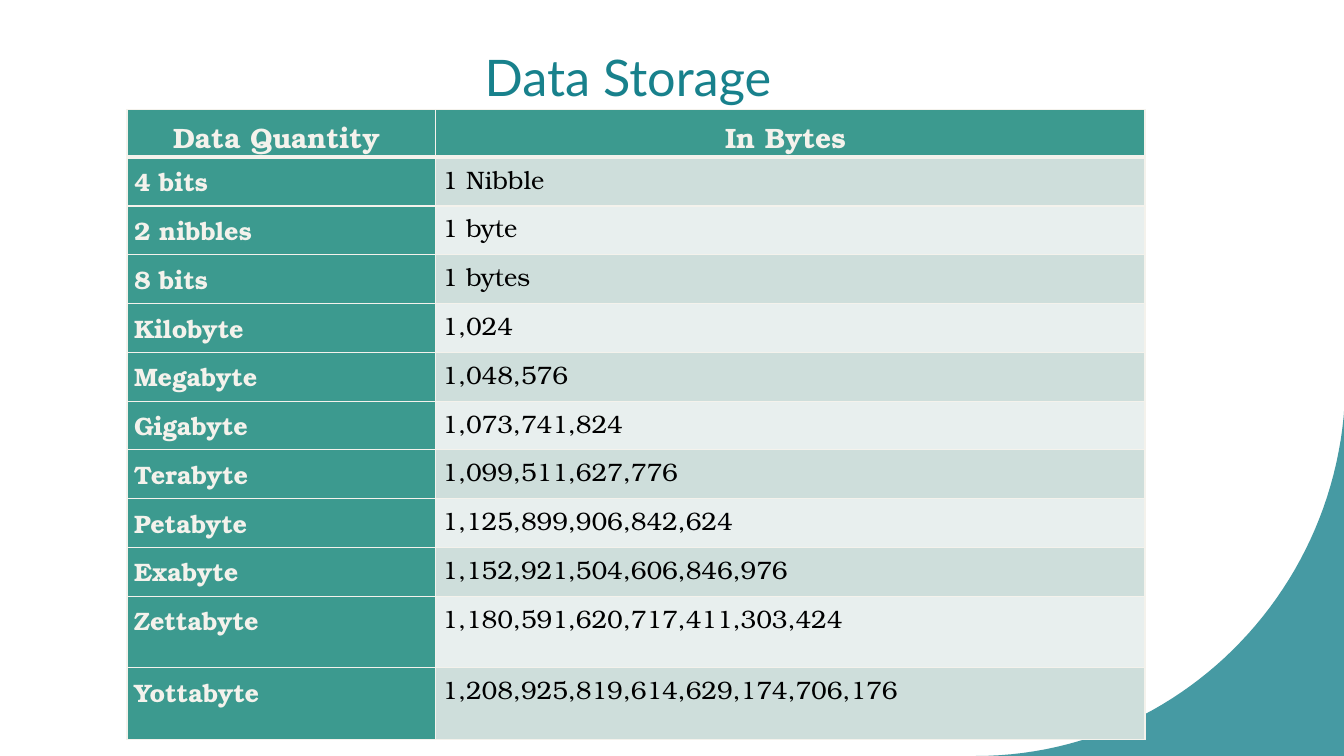
from dataclasses import dataclass

import pptx
import pptx.dml.color
import pptx.enum.text
import pptx.oxml
import pptx.oxml.ns
import pptx.presentation
import pptx.slide
import pptx.table
import pptx.util
from lxml import etree

RGBColor = pptx.dml.color.RGBColor
PP_ALIGN = pptx.enum.text.PP_ALIGN

TEAL = RGBColor(0x18, 0x81, 0x8C)
GREEN = RGBColor(0x3C, 0x9A, 0x8F)
CREAM = RGBColor(0xF4, 0xF2, 0xEC)
BLACK = RGBColor(0x00, 0x00, 0x00)
BAND_DARK = RGBColor(0xCE, 0xDE, 0xDB)
BAND_LIGHT = RGBColor(0xE8, 0xEF, 0xEE)

TITLE_FONT = "Lato"
TABLE_FONT = "TeX Gyre Bonum"

GRID_STEP = pptx.util.Inches(0.1)
SLIDE_COLUMNS = 133.33
SLIDE_ROWS = 75
COLUMN_SPANS = (30.6, 70.4)
HEADER_ROWS = 4.7
UNIT_ROWS = 4.84
TALL_ROWS = 7.1
CURVE_STEPS = 48


@dataclass(frozen=True)
class Quantity:
    name: str
    size: str
    rows: float = UNIT_ROWS


@dataclass(frozen=True)
class CellStyle:
    fill: RGBColor
    color: RGBColor
    size: int = 18
    bold: bool = True
    alignment: PP_ALIGN = PP_ALIGN.LEFT


HEADINGS = Quantity("Data Quantity ", "In Bytes ", HEADER_ROWS)
QUANTITIES = (
    Quantity("4 bits", "1 Nibble"),
    Quantity("2 nibbles", "1 byte"),
    Quantity("8 bits", "1 bytes"),
    Quantity("Kilobyte", "1,024"),
    Quantity("Megabyte", "1,048,576"),
    Quantity("Gigabyte", "1,073,741,824"),
    Quantity("Terabyte", "1,099,511,627,776"),
    Quantity("Petabyte", "1,125,899,906,842,624"),
    Quantity("Exabyte", "1,152,921,504,606,846,976"),
    Quantity("Zettabyte", "1,180,591,620,717,411,303,424", TALL_ROWS),
    Quantity("Yottabyte", "1,208,925,819,614,629,174,706,176", TALL_ROWS),
)

HEADING_STYLE = CellStyle(GREEN, CREAM, size=20, alignment=PP_ALIGN.CENTER)
NAME_STYLE = CellStyle(GREEN, CREAM)
SIZE_STYLES = (
    CellStyle(BAND_DARK, BLACK, bold=False),
    CellStyle(BAND_LIGHT, BLACK, bold=False),
)


def grid(units: float) -> pptx.util.Emu:
    return pptx.util.Emu(round(units * GRID_STEP))


def bezier(start: float, first: float, second: float, end: float, t: float) -> float:
    u = 1 - t
    return u**3 * start + 3 * u**2 * t * first + 3 * u * t**2 * second + t**3 * end


def draw_corner(slide: pptx.slide.Slide) -> None:
    curve = [
        (
            grid(bezier(96.8, 115.8, 131.5, 133.3, step / CURVE_STEPS)),
            grid(bezier(75, 75, 60.2, 41.3, step / CURVE_STEPS)),
        )
        for step in range(CURVE_STEPS + 1)
    ]
    edge = [(grid(SLIDE_COLUMNS), grid(40.8)), (grid(SLIDE_COLUMNS), grid(SLIDE_ROWS))]
    outline = slide.shapes.build_freeform(*curve[0])
    outline.add_line_segments(curve[1:] + edge, close=True)
    corner = outline.convert_to_shape()
    corner.shadow.inherit = False
    corner.line.fill.background()
    corner.fill.solid()
    corner.fill.fore_color.rgb = TEAL
    tint = corner.fill._xPr.find(".//" + pptx.oxml.ns.qn("a:srgbClr"))
    etree.SubElement(tint, pptx.oxml.ns.qn("a:alpha"), val="80000")


def draw_title(slide: pptx.slide.Slide) -> None:
    title = slide.shapes.title
    title.left, title.top = grid(15.8), grid(3.9)
    title.width, title.height = grid(93), grid(8.2)
    title.text_frame.text = "Data Storage"
    title.text_frame.vertical_anchor = pptx.enum.text.MSO_ANCHOR.MIDDLE
    heading = title.text_frame.paragraphs[0]
    heading.alignment = PP_ALIGN.CENTER
    heading.line_spacing = 0.9
    heading.font.name = TITLE_FONT
    heading.font.size = pptx.util.Pt(36)
    heading.font.color.rgb = TEAL


def draw_border(cell: pptx.table._Cell, side: str, points: int) -> None:
    properties = cell._tc.get_or_add_tcPr()
    border = etree.SubElement(
        properties, pptx.oxml.ns.qn(f"a:{side}"), w=str(pptx.util.Pt(points))
    )
    fill = etree.SubElement(border, pptx.oxml.ns.qn("a:solidFill"))
    etree.SubElement(fill, pptx.oxml.ns.qn("a:srgbClr"), val=str(CREAM))


def fill_cell(cell: pptx.table._Cell, text: str, style: CellStyle, top: int, bottom: int) -> None:
    for side, points in (("lnL", 1), ("lnR", 1), ("lnT", top), ("lnB", bottom)):
        draw_border(cell, side, points)
    cell.fill.solid()
    cell.fill.fore_color.rgb = style.fill
    cell.margin_left = cell.margin_right = grid(0.7)
    cell.margin_top = cell.margin_bottom = 0
    cell.text_frame.text = text
    paragraph = cell.text_frame.paragraphs[0]
    paragraph.alignment = style.alignment
    paragraph.line_spacing = 1.15
    paragraph.space_after = pptx.util.Pt(10)
    paragraph.font.name = TABLE_FONT
    paragraph.font.size = pptx.util.Pt(style.size)
    paragraph.font.bold = style.bold
    paragraph.font.color.rgb = style.color


def draw_table(slide: pptx.slide.Slide) -> None:
    entries = (HEADINGS, *QUANTITIES)
    height = sum(entry.rows for entry in entries)
    table = slide.shapes.add_table(
        len(entries), len(COLUMN_SPANS),
        grid(12.6), grid(10.9), grid(sum(COLUMN_SPANS)), grid(height),
    ).table
    table.horz_banding = False
    for column, span in zip(table.columns, COLUMN_SPANS):
        column.width = grid(span)
    for index, entry in enumerate(entries):
        table.rows[index].height = grid(entry.rows)
        if index == 0:
            styles = (HEADING_STYLE, HEADING_STYLE)
        else:
            styles = (NAME_STYLE, SIZE_STYLES[(index - 1) % 2])
        top = 3 if index == 1 else 1
        bottom = 3 if index == 0 else 1
        for column, (text, style) in enumerate(zip((entry.name, entry.size), styles)):
            fill_cell(table.cell(index, column), text, style, top, bottom)


def main() -> None:
    presentation = pptx.Presentation()
    presentation.slide_width = grid(SLIDE_COLUMNS)
    presentation.slide_height = grid(SLIDE_ROWS)
    slide = presentation.slides.add_slide(presentation.slide_layouts.get_by_name("Title Only"))
    draw_corner(slide)
    draw_title(slide)
    draw_table(slide)
    presentation.save("out.pptx")


if __name__ == "__main__":
    main()
